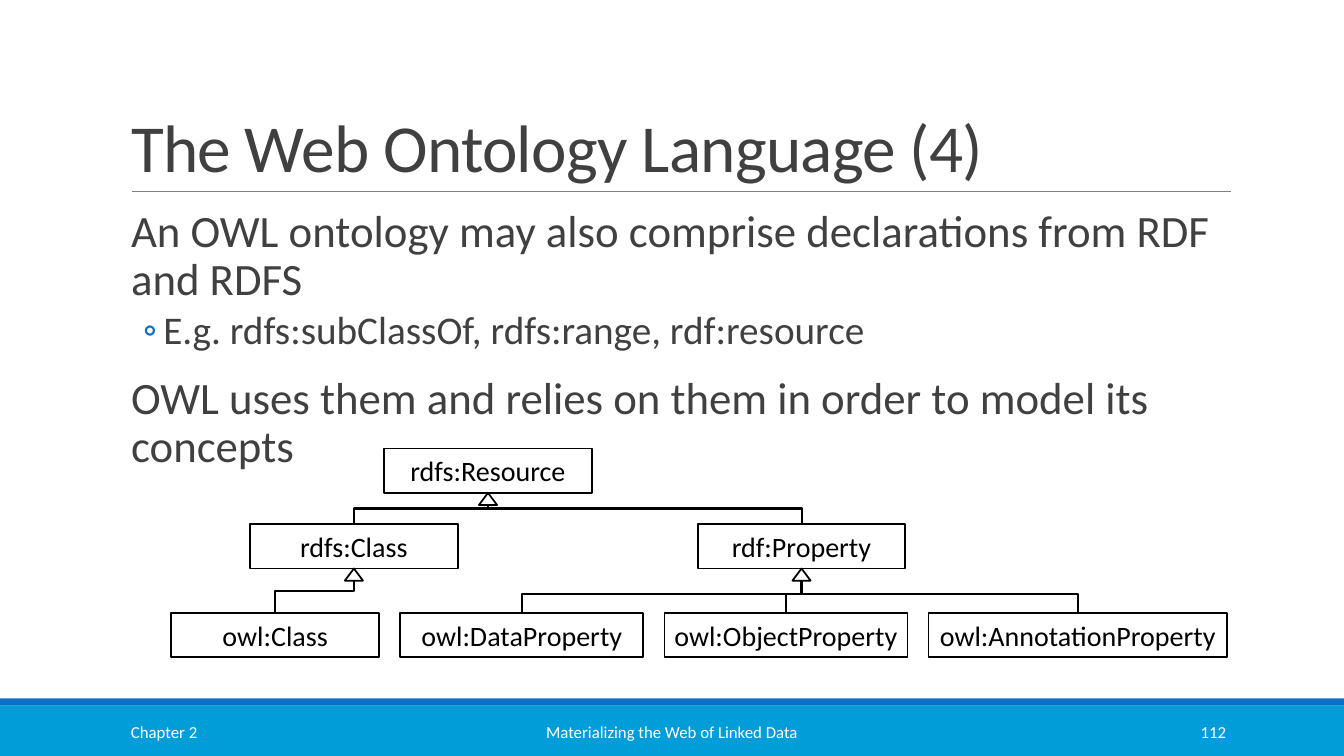
from lxml import etree
from pptx import Presentation
from pptx.dml.color import RGBColor
from pptx.enum.shapes import MSO_CONNECTOR, MSO_SHAPE
from pptx.enum.text import MSO_ANCHOR, MSO_AUTO_SIZE, PP_ALIGN
from pptx.oxml.ns import qn
from pptx.util import Inches, Pt

RECTANGLE = MSO_SHAPE.RECTANGLE
TRIANGLE = MSO_SHAPE.ISOSCELES_TRIANGLE
STRAIGHT, ELBOW = MSO_CONNECTOR.STRAIGHT, MSO_CONNECTOR.ELBOW
LEFT, CENTER, RIGHT = PP_ALIGN.LEFT, PP_ALIGN.CENTER, PP_ALIGN.RIGHT
MIDDLE, BOTTOM = MSO_ANCHOR.MIDDLE, MSO_ANCHOR.BOTTOM
NO_AUTOFIT = MSO_AUTO_SIZE.NONE

WHITE = RGBColor(0xFF, 0xFF, 0xFF)
BLACK = RGBColor(0, 0, 0)
TEXT = RGBColor(0x40, 0x40, 0x40)
RULE = RGBColor(0x80, 0x80, 0x80)
BLUE = RGBColor(0x0F, 0x6F, 0xC6)
CYAN = RGBColor(0x00, 0x9D, 0xD9)

FONT = "Calibri"
BOX_HEIGHT = 0.44
ROW_GAP = 0.21

TOPIC = {"size": 32, "bullet": " ", "margin": 0.1, "hanging": -0.1,
         "format": {"line_spacing": 0.9, "space_before": Pt(12), "space_after": Pt(2)}}
EXAMPLE = {"size": 28, "bullet": "◦", "margin": 0.42, "hanging": -0.2,
           "format": {"level": 1, "line_spacing": 0.9, "space_before": Pt(2),
                      "space_after": Pt(4)}}
BODY = [
    ("An OWL ontology may also comprise declarations from RDF and RDFS", TOPIC),
    ("E.g. rdfs:subClassOf, rdfs:range, rdf:resource", EXAMPLE),
    ("OWL uses them and relies on them in order to model its concepts", TOPIC),
]
FOOTERS = [
    ("Chapter 2", 1.2, 2.7, LEFT),
    ("Materializing the Web of Linked Data", 4.03, 5.27, CENTER),
    ("112", 10.83, 1.43, RIGHT),
]
PARENTS = [
    ("rdfs:Resource", 3.81, 4.45),
    ("rdfs:Class", 2.48, 5.2),
    ("rdf:Property", 6.92, 5.2),
]
OWL_ROW = [
    ("owl:Class", 2.06),
    ("owl:DataProperty", 2.41),
    ("owl:ObjectProperty", 2.41),
    ("owl:AnnotationProperty", 2.96),
]
BRANCHES = [
    ("rdfs:Resource", "rdfs:Class", 0.5),
    ("rdfs:Resource", "rdf:Property", 0.5),
    ("rdfs:Class", "owl:Class", 0.5),
    ("rdf:Property", "owl:DataProperty", 0.57),
    ("rdf:Property", "owl:AnnotationProperty", 0.57),
]


def apply(target, values):
    for name, value in values.items():
        setattr(target, name, value)


def write(para, text, size, color):
    span = para.add_run()
    span.text = text
    apply(span.font, {"name": FONT, "size": Pt(size)})
    span.font.color.rgb = color
    return span


def add_title(page, text):
    title = page.shapes.title
    apply(title, {"left": Inches(1.2), "top": Inches(0.31),
                  "width": Inches(11), "height": Inches(1.59)})
    apply(title.text_frame, {"word_wrap": True, "auto_size": NO_AUTOFIT,
                             "vertical_anchor": BOTTOM})
    para = title.text_frame.paragraphs[0]
    apply(para, {"alignment": LEFT, "line_spacing": 0.85})
    span = write(para, text, 48, TEXT)
    span.font._element.set("spc", "-50")


def add_bullet(para, style):
    properties = para._p.get_or_add_pPr()
    properties.set("marL", str(Inches(style["margin"])))
    properties.set("indent", str(Inches(style["hanging"])))
    color = etree.SubElement(properties, qn("a:buClr"))
    etree.SubElement(color, qn("a:srgbClr")).set("val", str(BLUE))
    etree.SubElement(properties, qn("a:buFont")).set("typeface", FONT)
    etree.SubElement(properties, qn("a:buChar")).set("char", style["bullet"])


def add_body(page):
    box = page.shapes.add_textbox(Inches(1.2), Inches(2.02), Inches(11), Inches(4.4))
    frame = box.text_frame
    apply(frame, {"word_wrap": True, "margin_left": 0, "margin_right": 0})
    for index, (text, style) in enumerate(BODY):
        para = frame.add_paragraph() if index else frame.paragraphs[0]
        add_bullet(para, style)
        apply(para, style["format"])
        write(para, text, style["size"], TEXT)
    frame.paragraphs[0].space_before = Pt(0)


def add_footer(page, text, left, width, alignment):
    box = page.shapes.add_textbox(Inches(left), Inches(7.06), Inches(width), Inches(0.4))
    apply(box.text_frame, {"word_wrap": True, "vertical_anchor": MIDDLE})
    para = box.text_frame.paragraphs[0]
    para.alignment = alignment
    write(para, text, 12, WHITE)


def add_shape(page, kind, left, top, width, height, fill=None, line=None):
    shape = page.shapes.add_shape(kind, Inches(left), Inches(top),
                                  Inches(width), Inches(height))
    shape.shadow.inherit = False
    if fill is None:
        shape.fill.background()
    else:
        shape.fill.solid()
        shape.fill.fore_color.rgb = fill
    if line is None:
        shape.line.fill.background()
    else:
        shape.line.color.rgb = line
        shape.line.width = Pt(1.25)
    return shape


def add_class(page, name, left, top, width=2.06):
    box = add_shape(page, RECTANGLE, left, top, width, BOX_HEIGHT, line=BLACK)
    apply(box.text_frame, {"word_wrap": False, "vertical_anchor": MIDDLE})
    para = box.text_frame.paragraphs[0]
    para.alignment = CENTER
    write(para, name, 20, BLACK)
    return box


def add_line(page, kind, start, end, color=BLACK, width=1.5):
    line = page.shapes.add_connector(kind, *start, *end)
    line.line.color.rgb = color
    line.line.width = Pt(width)
    etree.SubElement(line._element.spPr, qn("a:effectLst"))
    return line


def add_branch(page, parent, child, bend):
    start_x, start_y = parent.left + parent.width // 2, parent.top + parent.height
    end_x, end_y = child.left + child.width // 2, child.top
    center_x, center_y = (start_x + end_x) // 2, (start_y + end_y) // 2
    half_drop, half_span = (end_y - start_y) // 2, abs(end_x - start_x) // 2
    rightward = end_x > start_x
    reach = -half_drop if rightward else half_drop
    line = add_line(page, ELBOW, (center_x - reach, center_y - half_span),
                    (center_x + reach, center_y + half_span))
    properties = line._element.spPr
    properties.find(qn("a:xfrm")).set("rot", str((270 if rightward else 90) * 60000))
    guide = etree.SubElement(properties.find(".//" + qn("a:avLst")), qn("a:gd"))
    guide.set("name", "adj1")
    guide.set("fmla", f"val {round(bend * 100000)}")


def add_hierarchy(page):
    boxes = {name: add_class(page, name, left, top) for name, left, top in PARENTS}
    left = 1.7
    for name, width in OWL_ROW:
        boxes[name] = add_class(page, name, left, 6.08, width)
        left += width + ROW_GAP
    for parent, child, bend in BRANCHES:
        add_branch(page, boxes[parent], boxes[child], bend)
    stem = add_line(page, STRAIGHT, (Inches(7.8), Inches(5.9)), (Inches(7.8), Inches(6.08)))
    stem.end_connect(boxes["owl:ObjectProperty"], 0)
    stem.begin_x = stem.end_x
    for name, left, top in PARENTS:
        add_shape(page, TRIANGLE, left + 0.94, top + BOX_HEIGHT, 0.18, 0.12, WHITE, BLACK)


def main():
    deck = Presentation()
    apply(deck, {"slide_width": Inches(13.33), "slide_height": Inches(7.5)})
    page = deck.slides.add_slide(deck.slide_layouts[5])
    add_shape(page, RECTANGLE, 0, 7, 13.33, 0.5, CYAN)
    add_shape(page, RECTANGLE, 0, 6.93, 13.33, 0.07, BLUE)
    add_line(page, STRAIGHT, (Inches(1.31), Inches(1.9)), (Inches(12.21), Inches(1.9)),
             RULE, 0.5)
    add_title(page, "The Web Ontology Language (4)")
    add_body(page)
    for footer in FOOTERS:
        add_footer(page, *footer)
    add_hierarchy(page)
    deck.save("out.pptx")


if __name__ == "__main__":
    main()
